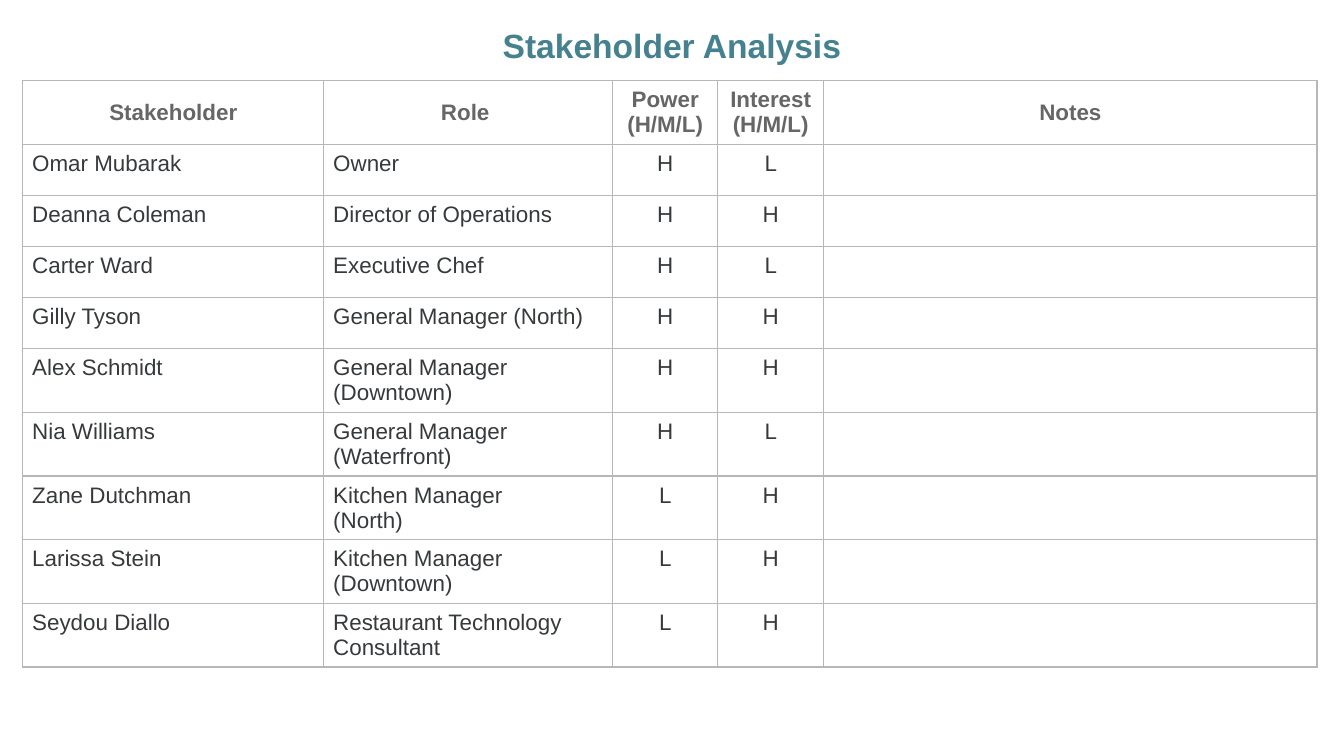
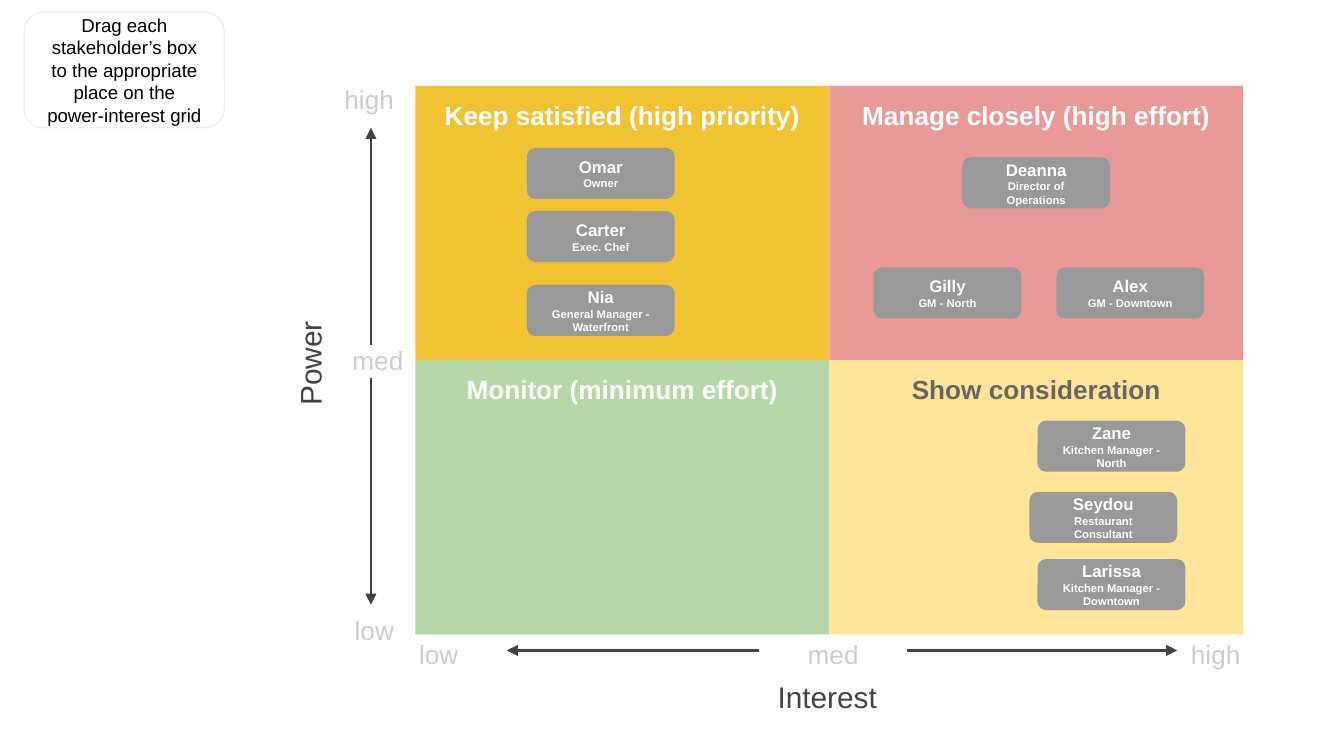
"""Build a stakeholder analysis table and a power-interest grid."""
from lxml.etree import SubElement
from pptx import Presentation
from pptx.dml.color import RGBColor
from pptx.enum.shapes import MSO_CONNECTOR, MSO_SHAPE
from pptx.enum.text import MSO_ANCHOR, PP_ALIGN
from pptx.oxml import parse_xml
from pptx.oxml.ns import nsdecls, qn
from pptx.util import Inches, Pt

FONT = "Arial"
WHITE = RGBColor(0xFF, 0xFF, 0xFF)
BLACK = RGBColor(0x00, 0x00, 0x00)
TEAL = RGBColor(0x45, 0x81, 0x8E)
INK = RGBColor(0x37, 0x3A, 0x3C)
AXIS = RGBColor(0x43, 0x43, 0x43)
HEADING = RGBColor(0x66, 0x66, 0x66)
CARD = RGBColor(0x99, 0x99, 0x99)
BORDER = RGBColor(0xB7, 0xB7, 0xB7)
SCALE = RGBColor(0xCC, 0xCC, 0xCC)
PALE = RGBColor(0xEF, 0xEF, 0xEF)
GOLD = RGBColor(0xF1, 0xC2, 0x32)
PINK = RGBColor(0xEA, 0x99, 0x99)
GREEN = RGBColor(0xB6, 0xD7, 0xA8)
YELLOW = RGBColor(0xFF, 0xE5, 0x99)


def write(frame, text, sizes, color, bold=False, align=PP_ALIGN.CENTER, anchor=MSO_ANCHOR.TOP):
    """Fill a text frame, one paragraph per line; the last size serves any further lines."""
    frame.text = text
    frame.word_wrap = True
    frame.vertical_anchor = anchor
    frame.margin_left = frame.margin_right = Inches(0.1)
    frame.margin_top = frame.margin_bottom = Inches(0.1)
    for index, para in enumerate(frame.paragraphs):
        para.alignment = align
        para.font.name = FONT
        para.font.size = Pt(sizes[min(index, len(sizes) - 1)])
        para.font.bold = bold
        para.font.color.rgb = color


def add_box(page, preset, left, top, width, height, fill=None, line=None):
    """Add a flat preset shape."""
    box = page.shapes.add_shape(preset, Inches(left), Inches(top), Inches(width), Inches(height))
    box.shadow.inherit = False
    if fill is None:
        box.fill.background()
    else:
        box.fill.solid()
        box.fill.fore_color.rgb = fill
    if line is None:
        box.line.fill.background()
    else:
        box.line.color.rgb = line
        box.line.width = Pt(0.75)
    return box


deck = Presentation()
deck.slide_width = Inches(10)
deck.slide_height = Inches(10) * 9 // 16
blank = deck.slide_layouts[6]

page = deck.slides.add_slide(blank)
rows = [
    ("Stakeholder", "Role ", "Power (H/M/L)", "Interest (H/M/L)", "Notes"),
    ("Omar Mubarak", "Owner", "H", "L", ""),
    ("Deanna Coleman", "Director of Operations", "H", "H", ""),
    ("Carter Ward", "Executive Chef", "H", "L", ""),
    ("Gilly Tyson", "General Manager (North)", "H", "H", ""),
    ("Alex Schmidt", "General Manager (Downtown)", "H", "H", ""),
    ("Nia Williams", "General Manager (Waterfront)", "H", "L", ""),
    ("Zane Dutchman", "Kitchen Manager\n(North)", "L", "H", ""),
    ("Larissa Stein", "Kitchen Manager (Downtown)", "L", "H", ""),
    ("Seydou Diallo", "Restaurant Technology Consultant", "L", "H", ""),
]
widths = [2.24, 2.15, 0.78, 0.79, 3.67]
table = page.shapes.add_table(
    len(rows), len(widths), Inches(0.17), Inches(0.6), Inches(sum(widths)), Inches(3.52)
).table
table.first_row = False
table.horz_banding = False
for column, width in zip(table.columns, widths):
    column.width = Inches(width)
for row_index, row in enumerate(rows):
    header = row_index == 0
    table.rows[row_index].height = Inches(0.28 if header else 0.36)
    for column_index, text in enumerate(row):
        cell = table.cell(row_index, column_index)
        if text:
            centred = header or column_index in (2, 3)
            write(cell.text_frame, text, [12], HEADING if header else INK, header,
                  PP_ALIGN.CENTER if centred else PP_ALIGN.LEFT)
        else:
            ending = SubElement(cell.text_frame.paragraphs[0]._p, qn("a:endParaRPr"), sz="1800")
            SubElement(ending, qn("a:latin"), typeface=FONT)
        cell.vertical_anchor = MSO_ANCHOR.MIDDLE if header else MSO_ANCHOR.TOP
        cell.margin_left = cell.margin_right = Inches(0.07)
        cell.margin_top = cell.margin_bottom = Inches(0.05)
        properties = cell._tc.get_or_add_tcPr()
        for edge in ("lnL", "lnR", "lnT", "lnB"):
            properties.append(parse_xml(
                f'<a:{edge} {nsdecls("a")} w="{Pt(0.75)}"><a:solidFill>'
                f'<a:srgbClr val="{BORDER}"/></a:solidFill></a:{edge}>'))
        cell.fill.background()

title = page.shapes.add_textbox(Inches(0.83), Inches(0.04), Inches(8.34), Inches(0.5))
write(title.text_frame, "Stakeholder Analysis", [18], TEAL, True)
title.text_frame.paragraphs[0].line_spacing = 1.15

page = deck.slides.add_slide(blank)
grid_left, grid_top, quad_width, quad_height = 3.09, 0.64, 3.08, 2.04
quadrants = [
    ("Keep satisfied (high priority)", GOLD, WHITE),
    ("Manage closely (high effort)", PINK, WHITE),
    ("Monitor (minimum effort)", GREEN, WHITE),
    ("Show consideration", YELLOW, HEADING),
]
for index, (text, fill, color) in enumerate(quadrants):
    grid_row, grid_column = divmod(index, 2)
    quadrant = add_box(page, MSO_SHAPE.RECTANGLE, grid_left + grid_column * quad_width,
                       grid_top + grid_row * quad_height, quad_width, quad_height, fill)
    write(quadrant.text_frame, text, [14], color, True)

axis_labels = [
    ("Power", 1.39, 2.53, 1.83, 0.35, 16, AXIS, PP_ALIGN.CENTER),
    ("Interest", 5.41, 4.95, 1.49, 0.47, 16, AXIS, PP_ALIGN.CENTER),
    ("high", 1.7, 0.52, 1.33, 0.26, 14, SCALE, PP_ALIGN.RIGHT),
    ("med", 2.42, 2.46, 0.68, 0.44, 14, SCALE, PP_ALIGN.RIGHT),
    ("low", 1.7, 4.47, 1.33, 0.26, 14, SCALE, PP_ALIGN.RIGHT),
    ("low", 2.76, 4.65, 1.01, 0.38, 14, SCALE, PP_ALIGN.CENTER),
    ("med", 5.65, 4.65, 1.1, 0.38, 14, SCALE, PP_ALIGN.CENTER),
    ("high", 8.54, 4.65, 1.01, 0.38, 14, SCALE, PP_ALIGN.CENTER),
]
for text, left, top, width, height, size, color, align in axis_labels:
    label = page.shapes.add_textbox(Inches(left), Inches(top), Inches(width), Inches(height))
    write(label.text_frame, text, [size], color, align=align)
    if text == "Power":
        label.rotation = 270
        label.text_frame.vertical_anchor = MSO_ANCHOR.MIDDLE

arrows = [
    (2.76, 2.57, 2.76, 0.95),
    (2.76, 2.81, 2.76, 4.5),
    (5.65, 4.84, 3.77, 4.84),
    (6.75, 4.84, 8.76, 4.84),
]
for ends in arrows:
    arrow = page.shapes.add_connector(MSO_CONNECTOR.STRAIGHT, *[Inches(end) for end in ends])
    arrow.line.color.rgb = AXIS
    arrow.line.width = Pt(1.5)
    SubElement(arrow.line._get_or_add_ln(), qn("a:tailEnd"), type="triangle")
    SubElement(arrow._element.spPr, qn("a:effectLst"))

hint = add_box(page, MSO_SHAPE.ROUNDED_RECTANGLE, 0.18, 0.09, 1.49, 0.86, line=PALE)
write(hint.text_frame,
      "Drag each stakeholder’s box to the appropriate place on the power-interest grid",
      [10], BLACK, anchor=MSO_ANCHOR.MIDDLE)

cards = [
    ("Omar", "Owner", 3.92, 1.1),
    ("Carter", "Exec. Chef", 3.92, 1.57),
    ("Nia", "General Manager - Waterfront", 3.92, 2.12),
    ("Deanna", "Director of Operations", 7.16, 1.17),
    ("Gilly", "GM - North", 6.5, 1.99),
    ("Alex", "GM - Downtown", 7.86, 1.99),
    ("Zane", "Kitchen Manager - North", 7.72, 3.13),
    ("Seydou", "Restaurant Consultant", 7.66, 3.66),
    ("Larissa", "Kitchen Manager - Downtown", 7.72, 4.16),
]
for name, role, left, top in cards:
    card = add_box(page, MSO_SHAPE.ROUNDED_RECTANGLE, left, top, 1.1, 0.38, CARD)
    write(card.text_frame, f"{name}\n{role}", [9, 6], WHITE, True, anchor=MSO_ANCHOR.MIDDLE)

deck.save("out.pptx")
